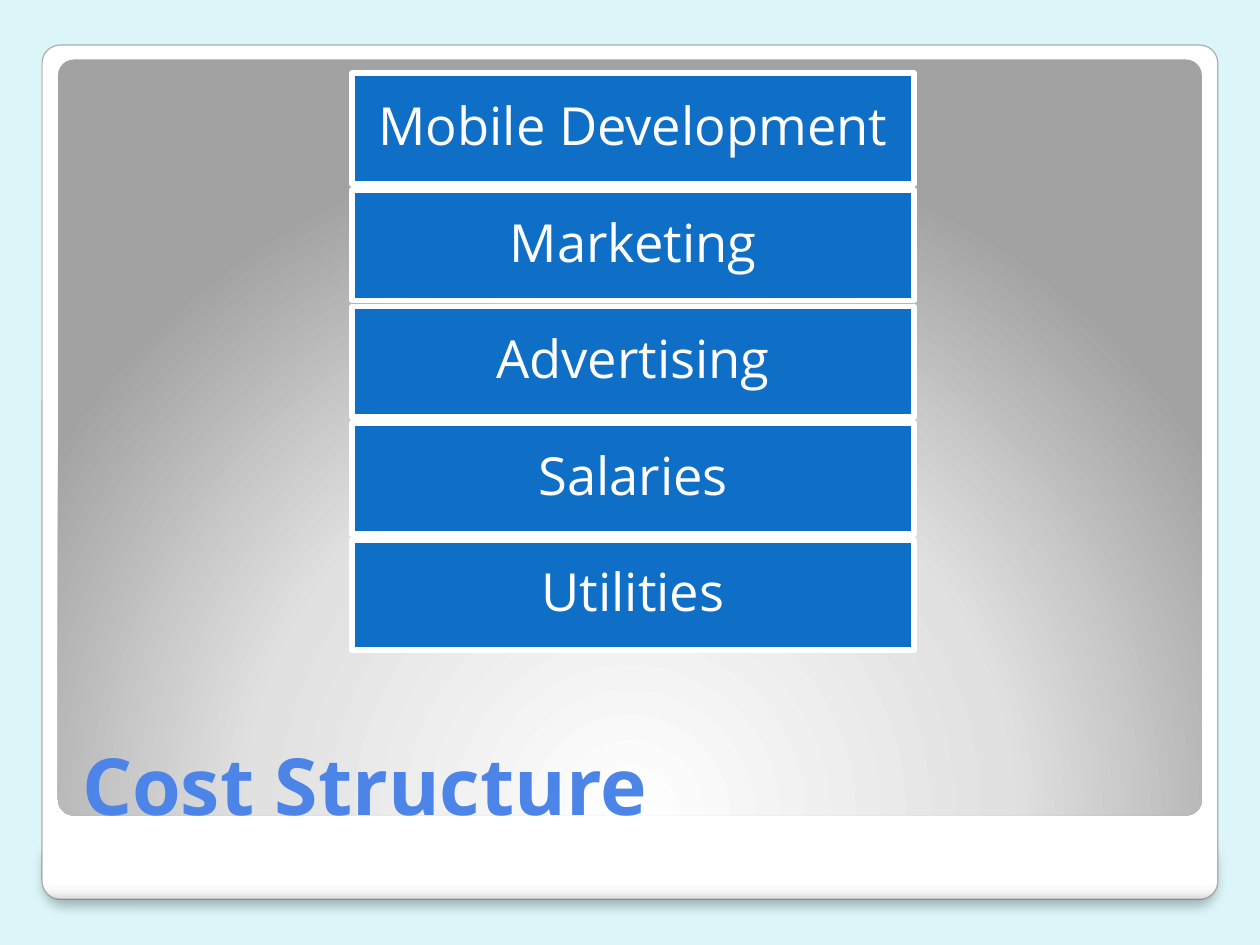
"""Build the cost structure slide."""
from dataclasses import dataclass

from lxml import etree
from pptx import Presentation
from pptx.dml.color import RGBColor
from pptx.enum.shapes import MSO_SHAPE
from pptx.enum.text import MSO_ANCHOR, MSO_AUTO_SIZE, PP_ALIGN
from pptx.oxml import parse_xml
from pptx.oxml.ns import nsdecls, qn
from pptx.util import Cm, Pt

RECT, ROUND = MSO_SHAPE.RECTANGLE, MSO_SHAPE.ROUNDED_RECTANGLE
MIDDLE, BOTTOM = MSO_ANCHOR.MIDDLE, MSO_ANCHOR.BOTTOM
LEFT, CENTER = PP_ALIGN.LEFT, PP_ALIGN.CENTER
FIXED = MSO_AUTO_SIZE.NONE


@dataclass(frozen=True)
class Theme:
    """Colours, font and type sizes."""
    back: str = "DBF5F9"
    head: str = "4C84E8"
    box: str = "0F6FC6"
    white: str = "FFFFFF"
    edge: str = "302F2C"
    shade: str = "000000"
    sheet: tuple = ((0, "FFFFFF"), (98, "FFFFFF"), (99, "F7F7F7"), (100, "DADADA"))
    glow: tuple = ((0, "FFFFFF"), (55, "E1E1E1"), (100, "A2A2A2"))
    font: str = "Open Sans"
    large: int = 45
    body: int = 30


THEME = Theme()
DOWN = '<a:lin ang="5400000" scaled="0"/>'
RADIAL = ('<a:path path="circle"><a:fillToRect l="100000" t="350000" '
          'r="100000" b="100000"/></a:path>')
ITEMS = ("Mobile Development", "Marketing", "Advertising", "Salaries", "Utilities")


def rgb(code):
    """Turn a hex code into a colour."""
    return RGBColor.from_string(code)


def apply(item, values):
    """Set attributes from a dict."""
    for name, value in values.items():
        setattr(item, name, value)


def place(item, area):
    """Move and size an item, in centimetres."""
    apply(item, dict(zip(("left", "top", "width", "height"), map(Cm, area))))


def write(frame, text, size, color, align, bold, values):
    """Fill a text frame with one styled paragraph."""
    apply(frame, {"word_wrap": True, "auto_size": FIXED, **values})
    frame.text = text
    para = frame.paragraphs[0]
    para.alignment = align
    apply(para.font, {"name": THEME.font, "size": Pt(size), "bold": bold})
    para.font.color.rgb = rgb(color)
    return para


def blend(shape, stops, course):
    """Give a shape a gradient fill."""
    marks = "".join(f'<a:gs pos="{pos * 1000}"><a:srgbClr val="{code}"/></a:gs>'
                    for pos, code in stops)
    shape.fill.background()
    props = shape._element.spPr
    props.replace(props.find(qn("a:noFill")), parse_xml(
        f'<a:gradFill {nsdecls("a")} rotWithShape="1">'
        f'<a:gsLst>{marks}</a:gsLst>{course}</a:gradFill>'))


def tint(node, alpha):
    """Make a colour node partly clear."""
    etree.SubElement(node, qn("a:alpha"), val=str(alpha * 1000))


def cast(shape):
    """Add a soft shadow below a shape."""
    effects = shape._element.spPr.find(qn("a:effectLst"))
    shadow = etree.SubElement(effects, qn("a:outerShdw"), blurRad=str(Pt(6)),
                              dist=str(Pt(4)), dir="5400000", rotWithShape="0")
    tint(etree.SubElement(shadow, qn("a:srgbClr"), val=THEME.shade), 25)


def panel(slide, area, bend, stops, course, edge=True):
    """Add a rounded gradient panel."""
    shape = slide.shapes.add_shape(ROUND, *map(Cm, area))
    shape.adjustments[0] = bend
    shape.shadow.inherit = False
    blend(shape, stops, course)
    if edge:
        shape.line.color.rgb = rgb(THEME.edge)
        shape.line.width = Pt(0.67)
        tint(shape.line._ln.find(".//" + qn("a:srgbClr")), 37)
    else:
        shape.line.fill.background()
    return shape


def title(slide, text, area):
    """Place the title in front of the panels."""
    head = slide.shapes.title
    slide.shapes._spTree.append(head._element)
    place(head, area)
    write(head.text_frame, text, THEME.large, THEME.head, LEFT, True,
          {"vertical_anchor": BOTTOM, "margin_bottom": 0})


def box(slide, text, area):
    """Add one labelled cost box."""
    shape = slide.shapes.add_shape(RECT, *map(Cm, area))
    shape.shadow.inherit = False
    shape.fill.solid()
    shape.fill.fore_color.rgb = rgb(THEME.box)
    shape.line.color.rgb = rgb(THEME.white)
    shape.line.width = Pt(3.35)
    pads = {f"margin_{side}": Cm(0.2) for side in ("left", "top", "right", "bottom")}
    para = write(shape.text_frame, text, THEME.body, THEME.white, CENTER, False,
                 {"vertical_anchor": MIDDLE, **pads})
    para.line_spacing = 0.9


def main():
    """Build and save the slide."""
    deck = Presentation()
    apply(deck, {"slide_width": Cm(25.4), "slide_height": Cm(19.05)})
    slide = deck.slides.add_slide(deck.slide_layouts[5])
    slide.background.fill.solid()
    slide.background.fill.fore_color.rgb = rgb(THEME.back)
    cast(panel(slide, (0.89, 16.84, 23.62, 1.27), 0.333, THEME.sheet, DOWN))
    panel(slide, (0.85, 0.91, 23.7, 17.22), 0.021, THEME.sheet, DOWN)
    panel(slide, (1.17, 1.2, 23.06, 15.24), 0.021, THEME.glow, RADIAL, False)
    title(slide, "Cost Structure", (1.4, 13.84, 22.73, 2.92))
    for row, text in enumerate(ITEMS):
        box(slide, text, (7.1, 1.48 + 2.35 * row, 11.33, 2.23))
    deck.save("out.pptx")


main()
